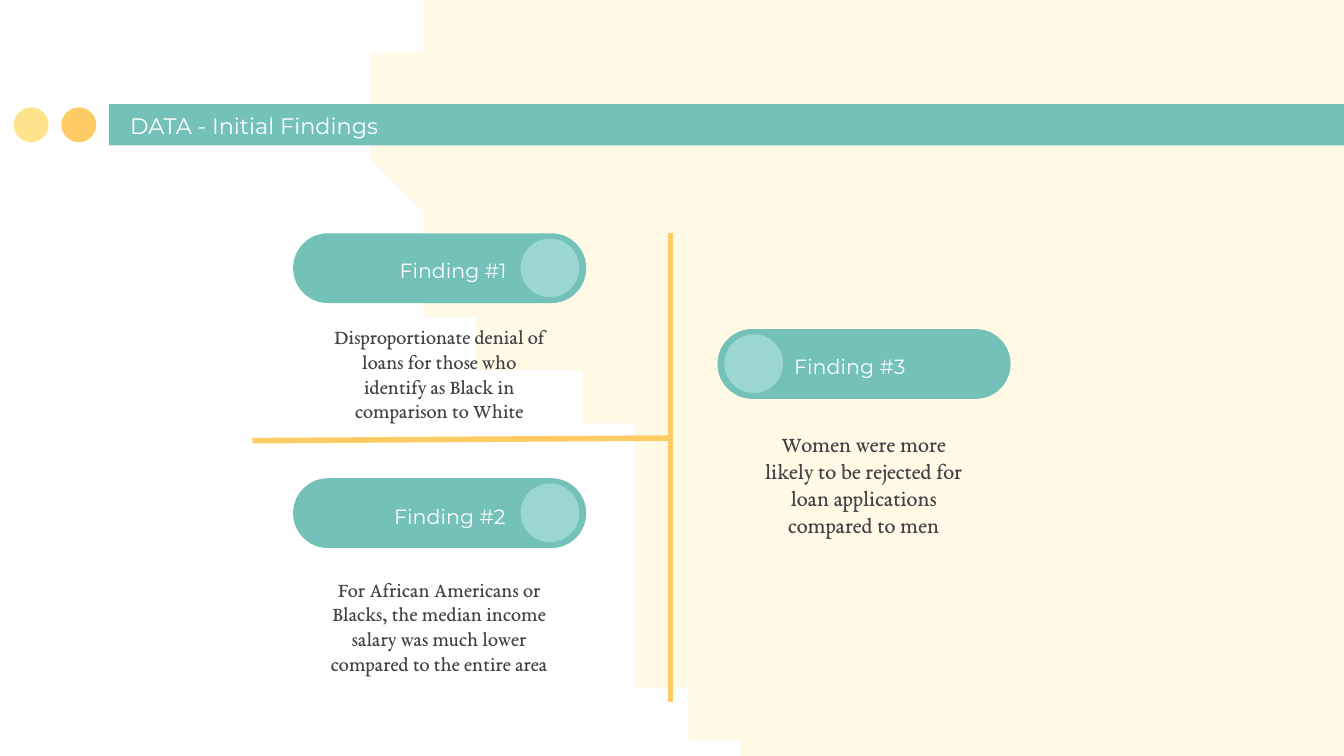
from lxml import etree
from pptx import Presentation
from pptx.dml.color import RGBColor
from pptx.enum.shapes import MSO_CONNECTOR, MSO_SHAPE
from pptx.enum.text import MSO_ANCHOR, MSO_AUTO_SIZE, PP_ALIGN
from pptx.oxml.ns import qn
from pptx.util import Cm, Pt

RECT, OVAL, PILL = MSO_SHAPE.RECTANGLE, MSO_SHAPE.OVAL, MSO_SHAPE.ROUNDED_RECTANGLE
LEFT, CENTER, RIGHT = PP_ALIGN.LEFT, PP_ALIGN.CENTER, PP_ALIGN.RIGHT
COLORS = {"teal": "74C1B9", "mint": "9AD7D2", "orange": "FFCB64",
          "yellow": "FFE48D", "white": "FFFFFF", "ink": "434343"}
HEADING_FONT, BODY_FONT = "Montserrat", "EB Garamond"

prs = Presentation()
prs.slide_width, prs.slide_height = Cm(25.4), Cm(14.29)
slide = prs.slides.add_slide(prs.slide_layouts[5])
shapes = slide.shapes


def add_plain(kind, left, top, width, height, color):
    shape = shapes.add_shape(kind, Cm(left), Cm(top), Cm(width), Cm(height))
    shape.shadow.inherit = False
    shape.fill.solid()
    shape.fill.fore_color.rgb = RGBColor.from_string(COLORS[color])
    shape.line.fill.background()
    return shape


def write(box, place, text, size, font, color, align, insets):
    box.left, box.top, box.width, box.height = [Cm(v) for v in place]
    frame = box.text_frame
    frame.word_wrap = True
    frame.auto_size = MSO_AUTO_SIZE.NONE
    frame.margin_left, frame.margin_top, frame.margin_right, frame.margin_bottom = [
        Cm(v) for v in insets]
    frame.text = text
    paragraph = frame.paragraphs[0]
    paragraph.alignment = align
    paragraph.font.size = Pt(size)
    paragraph.font.name = font
    paragraph.font.color.rgb = RGBColor.from_string(COLORS[color])


# Pale wave: each row holds two Bezier controls and an end point, in cm
wave_start = (8.33, -0.89)
wave_curves = [
    ((7.65, 0.23), (7.26, 1.57), (7.49, 3.02)),
    ((8.18, 7.67), (11.63, 6.76), (12.14, 8.66)),
    ((12.27, 9.12), (12.24, 9.73), (12.14, 10.41)),
    ((11.79, 12.7), (13.49, 14.76), (15.7, 14.76)),
    ((16.4, 14.73), (18.5, 14.66), (19.79, 14.78)),
    ((21.92, 14.99), (21.16, 18.42), (25.22, 19.51)),
]
STEPS = 24
outline = []
start = wave_start
for first, second, end in wave_curves:
    for step in range(1, STEPS + 1):
        t = step / STEPS
        u = 1 - t
        outline.append(tuple(
            u**3 * a + 3 * u**2 * t * b + 3 * u * t**2 * c + t**3 * d
            for a, b, c, d in zip(start, first, second, end)))
    start = end
outline += [(26.19, 19.51), (26.19, -0.89)]
builder = shapes.build_freeform(*wave_start, scale=Cm(1))
builder.add_line_segments(outline, close=True)
wave = builder.convert_to_shape()
wave.shadow.inherit = False
wave.fill.solid()
wave.fill.fore_color.rgb = RGBColor.from_string(COLORS["yellow"])
wave.line.fill.background()
wave_color = wave._element.spPr.find(qn("a:solidFill"))[0]
etree.SubElement(wave_color, qn("a:alpha"), val="21000")

# Title bar with two dots
bar = add_plain(RECT, 2.06, 1.97, 24.13, 0.78, "teal")
for left, color in ((1.16, "orange"), (0.26, "yellow")):
    add_plain(OVAL, left, 2.03, 0.66, 0.66, color)
title = shapes.title
bar._element.addnext(title._element)
write(title, (2.21, 2.01, 13.92, 0.86), "DATA - Initial Findings",
      12, HEADING_FONT, "white", LEFT, [0.25] * 4)
title.text_frame.vertical_anchor = MSO_ANCHOR.BOTTOM

# Findings: pill corner, knob offset, label place and side, description
findings = [
    ("Finding #1", 5.54, 4.41, 4.3, (6.17, 4.62, 3.66, 0.86), RIGHT,
     "Disproportionate denial of loans for those who identify as Black in "
     "comparison to White", (6.25, 6.1, 4.11, 1.57), 11),
    ("Finding #2", 5.54, 9.04, 4.3, (5.87, 9.28, 3.94, 0.86), RIGHT,
     "For African Americans or Blacks, the median income salary was much "
     "lower compared to the entire area", (6.25, 10.87, 4.11, 2.06), 11),
    ("Finding #3", 13.56, 6.22, 0.13, (14.76, 6.45, 3.66, 0.86), LEFT,
     "Women were more likely to be rejected for loan applications "
     "compared to men", (14.27, 8.1, 4.11, 1.88), 12),
]
for label, left, top, knob, label_place, side, detail, detail_place, size in findings:
    pill = add_plain(PILL, left, top, 5.54, 1.32, "teal")
    pill.adjustments[0] = 0.5
    add_plain(OVAL, left + knob, top + 0.1, 1.11, 1.11, "mint")
    write(shapes.add_textbox(0, 0, 0, 0), label_place, label,
          11, HEADING_FONT, "white", side, [0.25] * 4)
    write(shapes.add_textbox(0, 0, 0, 0), detail_place, detail,
          size, BODY_FONT, "ink", CENTER, (0, 0.03, 0, 0))

# Dividers
for ends in ((4.77, 8.33, 12.67, 8.28), (12.67, 4.41, 12.67, 13.26)):
    divider = shapes.add_connector(MSO_CONNECTOR.STRAIGHT, *[Cm(v) for v in ends])
    divider.line.color.rgb = RGBColor.from_string(COLORS["orange"])
    divider.line.width = Pt(3)
    etree.SubElement(divider._element.spPr, qn("a:effectLst"))

prs.save("out.pptx")
